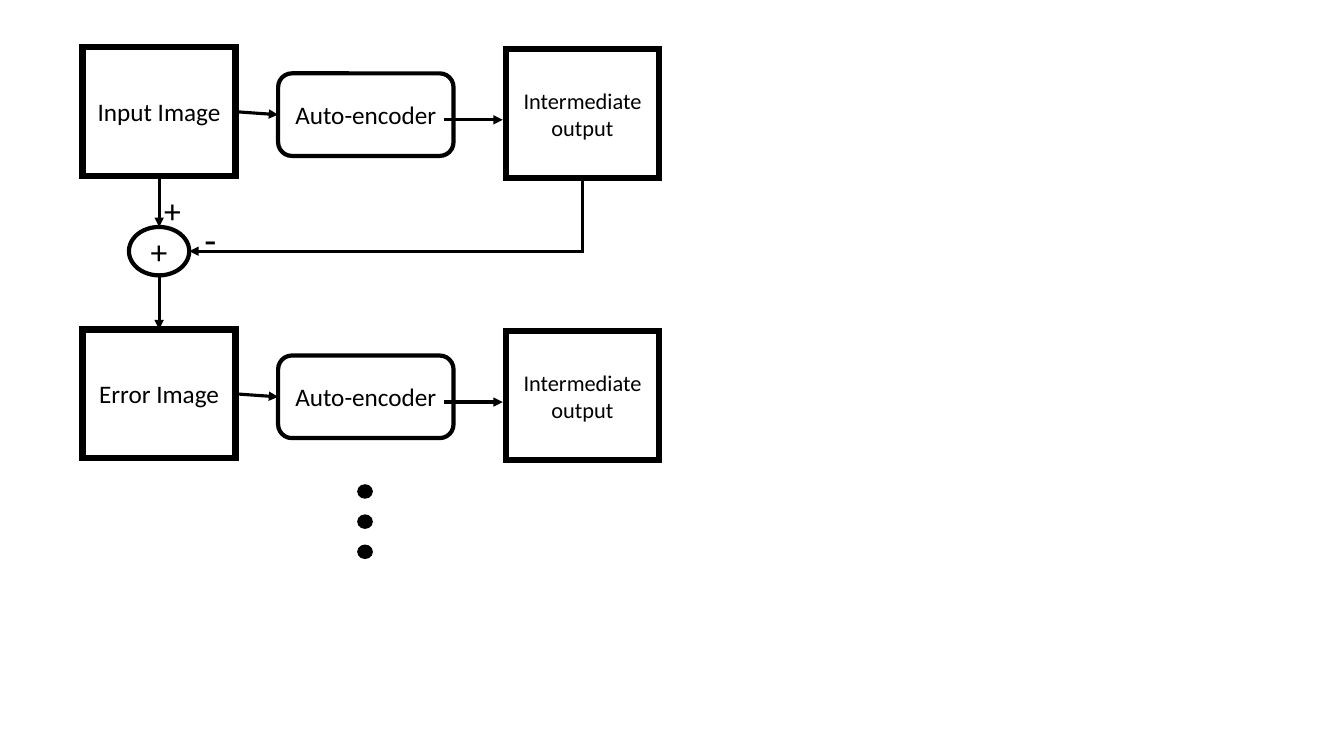
"""Build the slide showing a cascade of auto-encoders fed by error images."""
from dataclasses import dataclass

from pptx import Presentation
from pptx.dml.color import RGBColor
from pptx.enum.shapes import MSO_CONNECTOR, MSO_SHAPE
from pptx.enum.text import MSO_ANCHOR, MSO_AUTO_SIZE, PP_ALIGN
from pptx.oxml.ns import qn
from pptx.util import Cm, Pt
from lxml.etree import SubElement

TOP, LEFT, BOTTOM, RIGHT = range(4)


@dataclass(frozen=True)
class Theme:
    font: str = "Calibri"
    ink: RGBColor = RGBColor(0, 0, 0)
    paper: RGBColor = RGBColor(255, 255, 255)
    small: int = 16
    body: int = 18
    sign: int = 24
    minus: int = 28
    thick: float = 4.5
    medium: float = 3
    arrow: float = 2.25
    thin: float = 1


class Diagram:
    def __init__(self, slide, theme):
        self.slide = slide
        self.theme = theme

    def outline(self, line, weight):
        line.color.rgb = self.theme.ink
        line.width = Pt(weight)
        ln = line._get_or_add_ln()
        SubElement(ln, qn("a:miter"), lim="800000")
        return ln

    def caption(self, frame, text, size, align, **settings):
        for key, value in settings.items():
            setattr(frame, key, value)
        paragraph = frame.paragraphs[0]
        paragraph.alignment = align
        run = paragraph.add_run()
        run.text = text
        for key, value in {"name": self.theme.font, "size": Pt(size)}.items():
            setattr(run.font, key, value)
        run.font.color.rgb = self.theme.ink

    def node(self, kind, box, weight, fill=None, text="", size=0):
        shape = self.slide.shapes.add_shape(kind, *map(Cm, box))
        shape.shadow.inherit = False
        if fill is None:
            shape.fill.background()
        else:
            shape.fill.solid()
            shape.fill.fore_color.rgb = fill
        self.outline(shape.line, weight)
        if text:
            self.caption(shape.text_frame, text, size, PP_ALIGN.CENTER,
                         word_wrap=True, vertical_anchor=MSO_ANCHOR.MIDDLE)
        return shape

    def image(self, x, y, text, size):
        return self.node(MSO_SHAPE.RECTANGLE, (x, y, 3.86, 3.25),
                         self.theme.thick, self.theme.paper, text, size)

    def label(self, box, text, size, indent=0.25):
        sign = self.slide.shapes.add_textbox(*map(Cm, box))
        self.caption(sign.text_frame, text, size, PP_ALIGN.LEFT, word_wrap=True,
                     auto_size=MSO_AUTO_SIZE.SHAPE_TO_FIT_TEXT, margin_left=Cm(indent))

    def arrow(self, start, end, begin=None, finish=None, kind=MSO_CONNECTOR.STRAIGHT):
        link = self.slide.shapes.add_connector(kind, *map(Cm, start + end))
        if begin:
            link.begin_connect(*begin)
        if finish:
            link.end_connect(*finish)
        ln = self.outline(link.line, self.theme.arrow)
        SubElement(ln, qn("a:tailEnd"), type="triangle")
        SubElement(link._element.spPr, qn("a:effectLst"))
        return link

    def corner_arrow(self, start, end):
        """Go down from start, then left to end."""
        (x1, y1), (x2, y2) = start, end
        mid_x, mid_y = (x1 + x2) / 2, (y1 + y2) / 2
        half_w, half_h = (y2 - y1) / 2, (x1 - x2) / 2
        link = self.arrow((mid_x - half_w, mid_y - half_h),
                          (mid_x + half_w, mid_y + half_h), kind=MSO_CONNECTOR.ELBOW)
        properties = link._element.spPr
        properties.find(qn("a:xfrm")).set("rot", "5400000")
        properties.find(qn("a:prstGeom")).set("prst", "bentConnector2")

    def stage(self, y, source_name):
        theme = self.theme
        source = self.image(2.08, y, source_name, theme.body)
        encoder = self.node(MSO_SHAPE.ROUNDED_RECTANGLE, (7.01, y + 0.66, 4.42, 2.08),
                            theme.medium, text="Auto-encoder", size=theme.body)
        self.arrow((5.94, y + 1.63), (7.01, y + 1.7), (source, RIGHT), (encoder, LEFT))
        self.arrow((11.2, y + 1.83), (12.67, y + 1.83))
        self.image(12.75, y + 0.05, "Intermediate output", theme.small)
        return source


def main():
    deck = Presentation()
    deck.slide_width, deck.slide_height = Cm(33.87), Cm(19.05)
    theme = Theme()
    diagram = Diagram(deck.slides.add_slide(deck.slide_layouts[6]), theme)

    input_image, error_image = (
        diagram.stage(1.19 + row * 7.11, name)
        for row, name in enumerate(("Input Image", "Error Image")))
    adder = diagram.node(MSO_SHAPE.OVAL, (3.25, 5.72, 1.52, 1.22), theme.medium,
                         text="+", size=theme.sign)

    diagram.arrow((4.01, 4.44), (4.01, 5.72), (input_image, BOTTOM), (adder, TOP))
    diagram.corner_arrow((14.68, 4.49), (4.77, 6.33))
    diagram.arrow((4.01, 6.94), (4.01, 8.3), finish=(error_image, TOP))
    diagram.label((3.89, 4.67, 1.12, 1.27), "+", theme.sign)
    diagram.label((4.67, 5.31, 1.12, 1.45), "-", theme.minus, indent=0.48)

    for dot in range(3):
        diagram.node(MSO_SHAPE.OVAL, (9.02, 12.22 + dot * 0.76, 0.36, 0.33),
                     theme.thin, theme.ink)
    deck.save("out.pptx")


if __name__ == "__main__":
    main()
